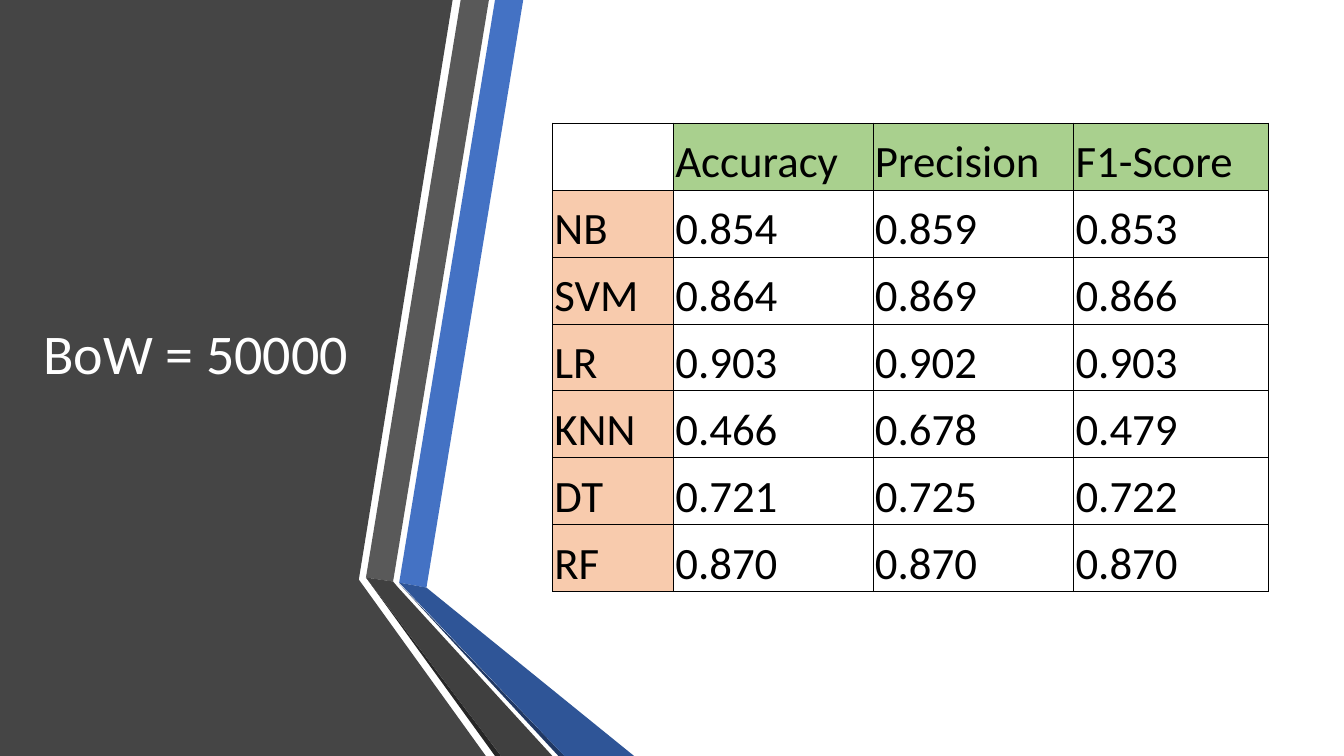
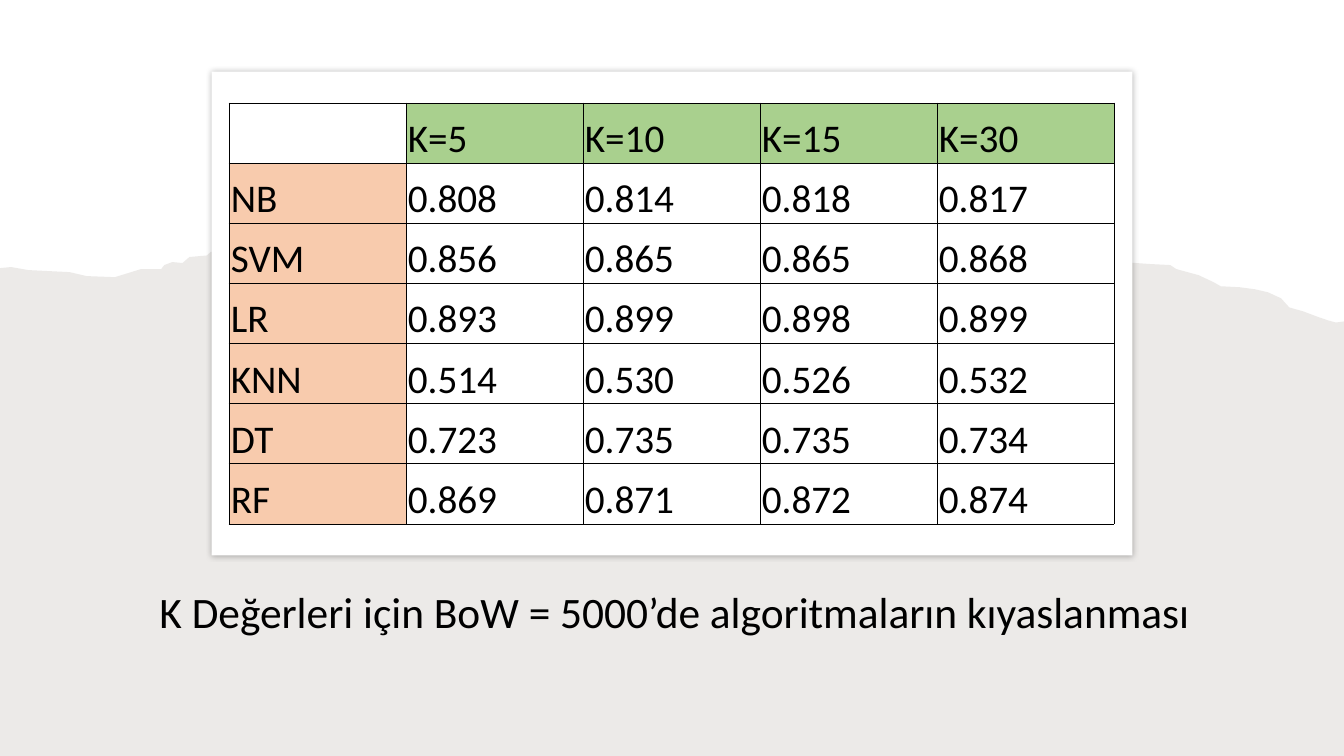
import dataclasses
import typing

import lxml.etree
import pptx
import pptx.dml.color
import pptx.enum.shapes
import pptx.enum.text
import pptx.oxml
import pptx.oxml.ns
import pptx.util

Point = tuple[float, float]
Anchor = pptx.enum.text.MSO_ANCHOR
Align = pptx.enum.text.PP_ALIGN

# Every position and length is a percentage of the slide's width or height.
SLIDE_WIDTH = pptx.util.Inches(13.33)
SLIDE_HEIGHT = pptx.util.Inches(7.5)

FONT = "Calibri"
WHITE, BLACK = "FFFFFF", "000000"
HEADER_GREEN, LABEL_PEACH = "A9D08E", "F8CBAD"
PANEL_GREY, TORN_PAPER = "454545", "82766A"


@dataclasses.dataclass(frozen=True)
class Area:
    left: float
    top: float
    width: float
    height: float

    def lengths(self) -> tuple[int, int, int, int]:
        return across(self.left), down(self.top), across(self.width), down(self.height)


@dataclasses.dataclass(frozen=True)
class Outline:
    color: str
    points: tuple[Point, ...]


@dataclasses.dataclass(frozen=True)
class Title:
    text: str
    area: Area
    size: float
    color: str
    anchor: Anchor
    align: Align


@dataclasses.dataclass(frozen=True)
class ScoreTable:
    area: Area
    columns: tuple[float, ...]
    size: float
    headers: tuple[str, ...]
    scores: dict[str, str]


PANEL = Outline(PANEL_GREY, (
    (0, 0), (33.68, 0), (26.7, 76.67), (36.15, 100), (0, 100)))

RIBBONS = (
    Outline("4472C4", ((29.7, 77.07), (31.73, 77.73), (38.93, 0), (36.83, 0))),
    Outline("595959", ((36.38, 0), (34.28, 0), (27.23, 76.4), (29.25, 76.93))),
    Outline("262626", ((27.23, 76.4), (36.83, 100), (37.28, 100))),
    Outline("203864", ((29.7, 77.2), (41.55, 100), (42, 100))),
    Outline("2F5597", ((29.7, 77.07), (42, 100), (47.18, 100), (31.73, 77.73))),
    Outline("404040", ((41.1, 100), (29.63, 77.73), (29.25, 76.93),
                       (27.23, 76.4), (37.28, 100))),
)

TORN_EDGE = (
    (0, 35.47), (0.83, 35.33), (2.1, 35.73), (3.68, 35.87), (5.18, 36),
    (6.45, 36.53), (8.55, 36.67), (10.5, 35.6), (12, 35.6), (12.23, 35.07),
    (12.83, 34.67), (13.58, 34.8), (14.1, 34), (15.4, 33.8), (15.68, 33.33),
    (17.48, 33.33), (19.5, 33.07), (21.2, 32.8), (22.88, 31.6), (25.65, 31.07),
    (29.7, 31.2), (31.2, 30.4), (33.08, 31.2), (35.7, 31.73), (39.45, 32),
    (41.25, 30.67), (46.13, 30.53), (50.7, 29.87), (52.65, 30), (55.95, 28.4),
    (57.6, 28), (59.55, 28.4), (61.43, 29.2), (63.45, 30.13), (66.38, 31.2),
    (67.95, 31.73), (73.95, 31.73), (75.75, 32), (77.33, 33.2), (80.48, 34),
    (83.48, 34.67), (85.58, 34.93), (87.08, 35.07), (87.53, 35.6), (89.18, 36.4),
    (90.3, 37.33), (90.83, 37.87), (92.25, 38), (93.38, 38.27), (94.35, 38.67),
    (95.33, 39.47), (95.93, 40.67), (96.98, 41.2), (98.18, 42), (98.85, 42.4),
    (99.4, 42.67), (100, 42.53),
)
TORN_SHEET = Outline(TORN_PAPER, TORN_EDGE + ((100, 100), (0, 100)))
CARD = Area(15.75, 9.47, 68.5, 64)

BOW_TITLE = Title("BoW = 50000", Area(2.48, 10, 24.68, 74.4), 40, WHITE,
                  Anchor.MIDDLE, Align.LEFT)
BOW_TABLE = ScoreTable(
    Area(41.1, 16.27, 53.25, 62), (9, 14.85, 14.93, 14.48), 32,
    ("Accuracy", "Precision", "F1-Score"),
    {
        "NB": "0.854 0.859 0.853",
        "SVM": "0.864 0.869 0.866",
        "LR": "0.903 0.902 0.903",
        "KNN": "0.466 0.678 0.479",
        "DT": "0.721 0.725 0.722",
        "RF": "0.870 0.870 0.870",
    },
)

K_TITLE = Title("K Değerleri için BoW = 5000’de algoritmaların kıyaslanması",
                Area(9.75, 75.73, 80.85, 9.33), 31, BLACK,
                Anchor.BOTTOM, Align.CENTER)
K_TABLE = ScoreTable(
    Area(17.03, 13.6, 65.85, 55.73), (13.17,) * 5, 28,
    ("K=5", "K=10", "K=15", "K=30"),
    {
        "NB": "0.808 0.814 0.818 0.817",
        "SVM": "0.856 0.865 0.865 0.868",
        "LR": "0.893 0.899 0.898 0.899",
        "KNN": "0.514 0.530 0.526 0.532",
        "DT": "0.723 0.735 0.735 0.734",
        "RF": "0.869 0.871 0.872 0.874",
    },
)


def across(percent: float) -> int:
    return round(SLIDE_WIDTH * percent / 100)


def down(percent: float) -> int:
    return round(SLIDE_HEIGHT * percent / 100)


def paint(fill: typing.Any, color: str) -> None:
    fill.solid()
    fill.fore_color.rgb = pptx.dml.color.RGBColor.from_string(color)


def style_paragraph(para: typing.Any, size: float, color: str) -> None:
    para.font.name = FONT
    para.font.size = pptx.util.Pt(size)
    paint(para.font.fill, color)


def add_outline(page: typing.Any, outline: Outline) -> typing.Any:
    points = [(across(x), down(y)) for x, y in outline.points]
    builder = page.shapes.build_freeform(*points[0])
    builder.add_line_segments(points[1:], close=True)
    shape = builder.convert_to_shape()
    shape.shadow.inherit = False
    shape.line.fill.background()
    paint(shape.fill, outline.color)
    return shape


def set_opacity(shape: typing.Any, percent: int) -> None:
    color = shape.fill._xPr.find(".//" + pptx.oxml.ns.qn("a:srgbClr"))
    alpha = lxml.etree.SubElement(color, pptx.oxml.ns.qn("a:alpha"))
    alpha.set("val", str(percent * 1000))


def add_card(page: typing.Any, area: Area) -> None:
    """Draw a white card with a soft shadow."""
    card = page.shapes.add_shape(pptx.enum.shapes.MSO_SHAPE.RECTANGLE, *area.lengths())
    card.shadow.inherit = False
    card.line.fill.background()
    paint(card.fill, WHITE)
    effects = card._element.spPr.find(pptx.oxml.ns.qn("a:effectLst"))
    effects.append(pptx.oxml.parse_xml(
        f'<a:outerShdw {pptx.oxml.ns.nsdecls("a")} blurRad="{pptx.util.Pt(4)}" '
        f'dist="{pptx.util.Pt(1)}" dir="{50 * 60000}" algn="tl" rotWithShape="0">'
        f'<a:srgbClr val="{BLACK}"><a:alpha val="27000"/></a:srgbClr></a:outerShdw>'))


def add_title(page: typing.Any, title: Title) -> None:
    box = page.shapes.add_textbox(*title.area.lengths())
    frame = box.text_frame
    frame.word_wrap = True
    frame.vertical_anchor = title.anchor
    para = frame.paragraphs[0]
    para.text = title.text
    para.alignment = title.align
    para.line_spacing = 0.9
    style_paragraph(para, title.size, title.color)


def add_borders(cell: typing.Any) -> None:
    properties = cell._tc.get_or_add_tcPr()
    for side in "LRTB":
        properties.append(pptx.oxml.parse_xml(
            f'<a:ln{side} {pptx.oxml.ns.nsdecls("a")} w="{pptx.util.Pt(0.5)}">'
            f'<a:solidFill><a:srgbClr val="{BLACK}"/></a:solidFill></a:ln{side}>'))


def fill_cell(cell: typing.Any, text: str, size: float, color: str | None) -> None:
    cell.margin_left = cell.margin_right = cell.margin_top = pptx.util.Inches(0.02)
    cell.margin_bottom = 0
    cell.vertical_anchor = Anchor.BOTTOM
    add_borders(cell)
    if color:
        paint(cell.fill, color)
    else:
        cell.fill.background()
    para = cell.text_frame.paragraphs[0]
    para.text = text
    style_paragraph(para, size, BLACK)


def add_score_table(page: typing.Any, scores: ScoreTable) -> None:
    rows = [("", *scores.headers)]
    rows += [(label, *values.split()) for label, values in scores.scores.items()]
    table = page.shapes.add_table(
        len(rows), len(scores.columns), *scores.area.lengths()).table
    table.first_row = table.horz_banding = False
    for column, width in zip(table.columns, scores.columns):
        column.width = across(width)
    for row_index, row in enumerate(rows):
        for column_index, text in enumerate(row):
            color = None
            if text and row_index == 0:
                color = HEADER_GREEN
            elif text and column_index == 0:
                color = LABEL_PEACH
            fill_cell(table.cell(row_index, column_index), text, scores.size, color)


def add_page(deck: typing.Any) -> typing.Any:
    page = deck.slides.add_slide(deck.slide_layouts[6])
    paint(page.background.fill, WHITE)
    return page


def build_bow_page(deck: typing.Any) -> None:
    page = add_page(deck)
    for outline in (PANEL, *RIBBONS):
        add_outline(page, outline)
    add_title(page, BOW_TITLE)
    add_score_table(page, BOW_TABLE)


def build_k_page(deck: typing.Any) -> None:
    page = add_page(deck)
    set_opacity(add_outline(page, TORN_SHEET), 15)
    add_title(page, K_TITLE)
    add_card(page, CARD)
    add_score_table(page, K_TABLE)


def main() -> None:
    deck = pptx.Presentation()
    deck.slide_width, deck.slide_height = SLIDE_WIDTH, SLIDE_HEIGHT
    build_bow_page(deck)
    build_k_page(deck)
    deck.save("out.pptx")


if __name__ == "__main__":
    main()
